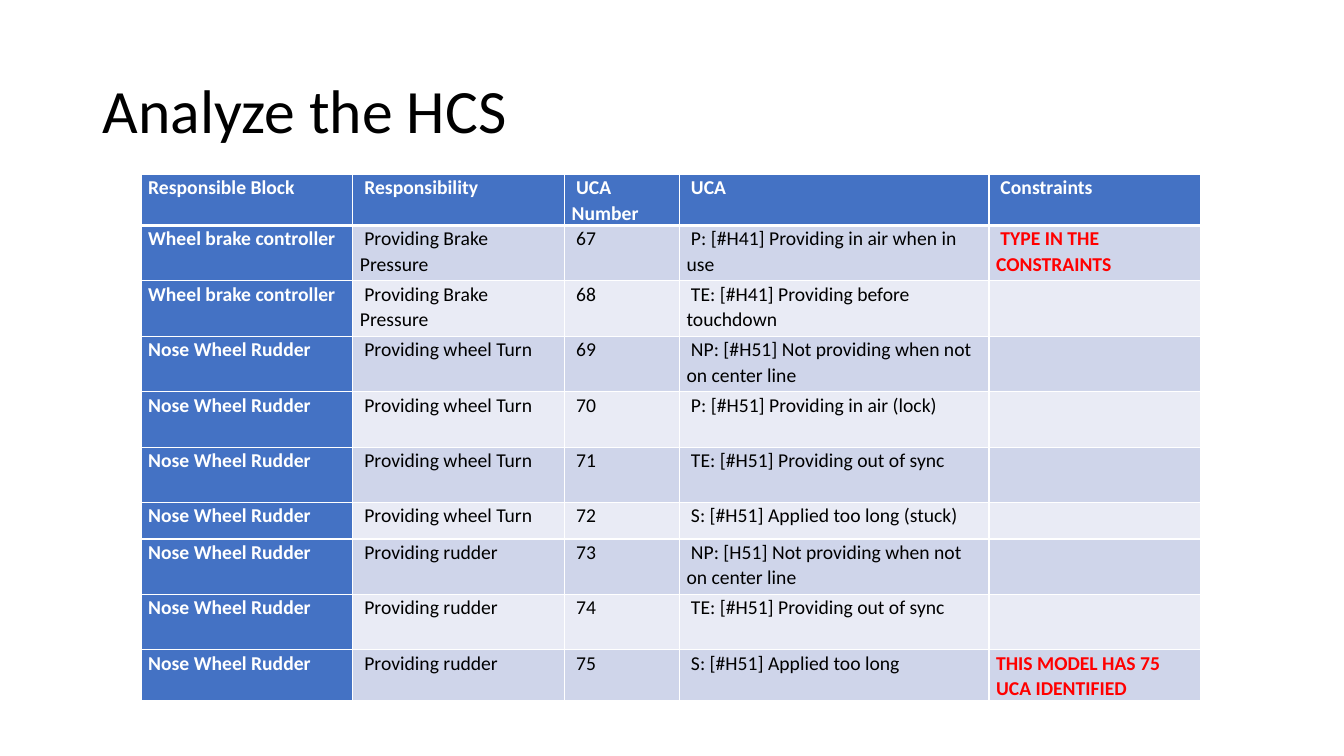
"""Build the "Analyze the HCS" slide with its table of unsafe control actions."""
from typing import NamedTuple

from lxml import etree
from pptx import Presentation
from pptx import util as u
from pptx.dml.color import RGBColor
from pptx.enum import text
from pptx.oxml.ns import qn

PX = u.Inches(1) // 100
FONT = "Calibri"
WHITE, BLACK, RED, BLUE = "FFFFFF", "000000", "FF0000", "4472C4"
BANDS = ("CFD5EA", "E9EBF5")
COLS = (210, 210, 114, 307, 210)
ROWS = (18, 55, 55, 55, 55, 55, 36, 55, 55, 36)


class Action(NamedTuple):
    block: str
    duty: str
    number: str
    uca: str
    constraint: str = ""


BRAKE, NOSE = "Wheel brake controller", "Nose Wheel Rudder"
PRESSURE, TURN, RUDDER = " Providing Brake Pressure", " Providing wheel Turn", " Providing rudder"
ACTIONS = (
    Action("Responsible Block", " Responsibility", " UCA Number", " UCA", " Constraints"),
    Action(BRAKE, PRESSURE, " 67", " P: [#H41] Providing in air when in use",
           " TYPE IN THE CONSTRAINTS"),
    Action(BRAKE, PRESSURE, " 68", " TE: [#H41] Providing before touchdown"),
    Action(NOSE, TURN, " 69", " NP: [#H51] Not providing when not on center line"),
    Action(NOSE, TURN, " 70", " P: [#H51] Providing in air (lock)"),
    Action(NOSE, TURN, " 71", " TE: [#H51] Providing out of sync"),
    Action(NOSE, TURN, " 72", " S: [#H51] Applied too long (stuck)"),
    Action(NOSE, RUDDER, " 73", " NP: [H51] Not providing when not on center line"),
    Action(NOSE, RUDDER, " 74", " TE: [#H51] Providing out of sync"),
    Action(NOSE, RUDDER, " 75", " S: [#H51] Applied too long",
           "THIS MODEL HAS 75 UCA IDENTIFIED"),
)


def rgb(value: str) -> RGBColor:
    return RGBColor.from_string(value)


def apply(target, **values) -> None:
    for name, value in values.items():
        setattr(target, name, value)


def write(tf, words: str, size: int, color: str, bold: bool, spacing: float) -> None:
    p = tf.paragraphs[0]
    apply(p, line_spacing=spacing, alignment=text.PP_ALIGN.LEFT)
    if words:
        r = p.add_run()
        r.text = words
        apply(r.font, name=FONT, size=u.Pt(size), bold=bold)
        r.font.color.rgb = rgb(color)


def add_borders(cell, top: int, bottom: int) -> None:
    tc_pr = cell._tc.get_or_add_tcPr()
    widths = {"a:lnL": 1, "a:lnR": 1, "a:lnT": top, "a:lnB": bottom}
    for i, (tag, width) in enumerate(widths.items()):
        ln = etree.Element(qn(tag), w=str(u.Pt(width)))
        fill = etree.SubElement(ln, qn("a:solidFill"))
        etree.SubElement(fill, qn("a:srgbClr"), val=WHITE)
        tc_pr.insert(i, ln)


def draw_cell(cell, words: str, row: int, col: int) -> None:
    head = row == 0 or col == 0
    color = WHITE if head else RED if col == 4 else BLACK
    apply(cell, margin_left=7 * PX, margin_right=7 * PX, margin_top=0, margin_bottom=0)
    cell.fill.solid()
    cell.fill.fore_color.rgb = rgb(BLUE if head else BANDS[(row - 1) % 2])
    add_borders(cell, 3 if row == 1 else 1, 3 if row == 0 else 1)
    write(cell.text_frame, words, 14, color, head or col == 4, 1.07)


def draw_title(s) -> None:
    sp = s.shapes.title
    apply(sp, left=92 * PX, top=40 * PX, width=1150 * PX, height=145 * PX)
    apply(sp.text_frame, vertical_anchor=text.MSO_ANCHOR.MIDDLE, word_wrap=True)
    write(sp.text_frame, "Analyze the HCS", 44, BLACK, False, 0.9)


def draw_table(s) -> None:
    frame = s.shapes.add_table(len(ROWS), len(COLS), 140 * PX, 173 * PX, 1052 * PX, 519 * PX)
    table = frame.table
    table.first_col = True
    for column, width in zip(table.columns, COLS):
        column.width = width * PX
    for row, height in zip(table.rows, ROWS):
        row.height = height * PX
    for i, action in enumerate(ACTIONS):
        for j, words in enumerate(action):
            draw_cell(table.cell(i, j), words, i, j)
    apply(frame, width=1052 * PX, height=519 * PX)


def main() -> None:
    prs = Presentation()
    apply(prs, slide_width=1333 * PX, slide_height=750 * PX)
    s = prs.slides.add_slide(prs.slide_layouts[5])
    draw_title(s)
    draw_table(s)
    prs.save("out.pptx")


if __name__ == "__main__":
    main()
